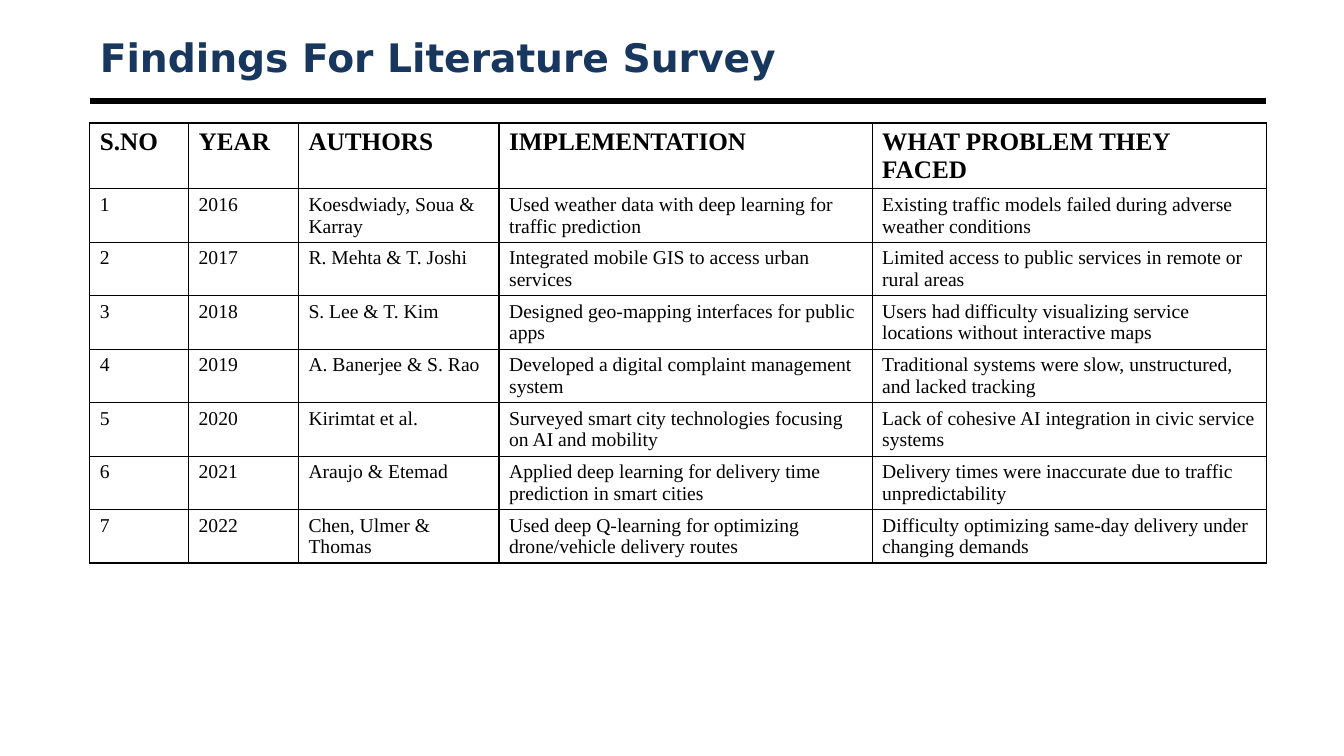
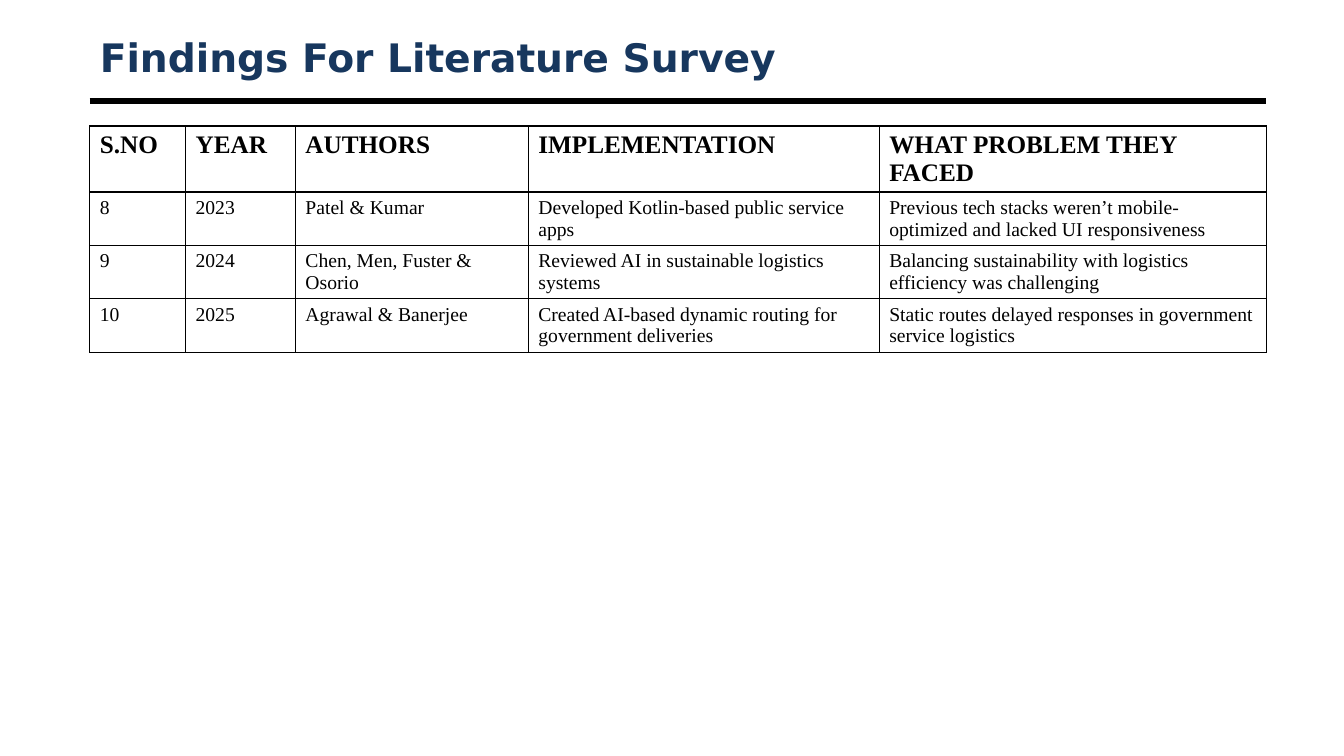
from lxml import etree
from pptx import Presentation
from pptx.dml.color import RGBColor
from pptx.enum.shapes import MSO_CONNECTOR
from pptx.enum.text import MSO_ANCHOR, MSO_AUTO_SIZE, PP_ALIGN
from pptx.oxml import parse_xml
from pptx.oxml.ns import nsdecls, qn
from pptx.util import Inches, Pt

STRAIGHT = MSO_CONNECTOR.STRAIGHT
MIDDLE = MSO_ANCHOR.MIDDLE
LEFT = PP_ALIGN.LEFT
NO_FIT = MSO_AUTO_SIZE.NONE

# Shared style
NAVY, BLACK, WHITE = "17375E", "000000", "FFFFFF"
HEAD_FONT, BODY_FONT = "DejaVu Sans", "Times New Roman"
EDGE, SPAN = 0.89, 11.67
TITLE_BOX = (EDGE, 0.3, SPAN, 0.53)
RULE_TOP = 1
HEAD_ROW, BODY_ROW = 0.65, 0.53

TITLE = "Findings For Literature Survey"
HEADS = ("S.NO", "YEAR", "AUTHORS", "IMPLEMENTATION",
         "WHAT PROBLEM THEY FACED")
FIRST_YEAR = 2016

# Each study: authors, implementation, problem
EARLY = [
    ("Koesdwiady, Soua & Karray",
     "Used weather data with deep learning for traffic prediction",
     "Existing traffic models failed during adverse weather conditions"),
    ("R. Mehta & T. Joshi",
     "Integrated mobile GIS to access urban services",
     "Limited access to public services in remote or rural areas"),
    ("S. Lee & T. Kim",
     "Designed geo-mapping interfaces for public apps",
     "Users had difficulty visualizing service locations without "
     "interactive maps"),
    ("A. Banerjee & S. Rao",
     "Developed a digital complaint management system",
     "Traditional systems were slow, unstructured, and lacked tracking"),
    ("Kirimtat et al.",
     "Surveyed smart city technologies focusing on AI and mobility",
     "Lack of cohesive AI integration in civic service systems"),
    ("Araujo & Etemad",
     "Applied deep learning for delivery time prediction in smart cities",
     "Delivery times were inaccurate due to traffic unpredictability"),
    ("Chen, Ulmer & Thomas",
     "Used deep Q-learning for optimizing drone/vehicle delivery routes",
     "Difficulty optimizing same-day delivery under changing demands"),
]
LATE = [
    ("Patel & Kumar",
     "Developed Kotlin-based public service apps",
     "Previous tech stacks weren’t mobile-optimized and lacked UI "
     "responsiveness"),
    ("Chen, Men, Fuster & Osorio",
     "Reviewed AI in sustainable logistics systems",
     "Balancing sustainability with logistics efficiency was challenging"),
    ("Agrawal & Banerjee",
     "Created AI-based dynamic routing for government deliveries",
     "Static routes delayed responses in government service logistics"),
]


def color(code):
    return RGBColor.from_string(code)


def write(frame, text, size=14, font=BODY_FONT, ink=BLACK, bold=False):
    """Put one formatted paragraph in a text frame."""
    frame.word_wrap = True
    para = frame.paragraphs[0]
    para.alignment = LEFT
    run = para.add_run()
    run.text = text
    run.font.size = Pt(size)
    run.font.name = font
    run.font.bold = bold
    run.font.color.rgb = color(ink)


def add_title(slide, box):
    title = slide.shapes.title
    title.left, title.top, title.width, title.height = map(Inches, box)
    frame = title.text_frame
    frame.auto_size = NO_FIT
    frame.vertical_anchor = MIDDLE
    write(frame, TITLE, size=28, font=HEAD_FONT, ink=NAVY, bold=True)


def add_rule(slide, left, top, width):
    rule = slide.shapes.add_connector(
        STRAIGHT, Inches(left), Inches(top), Inches(left + width), Inches(top))
    rule.line.color.rgb = color(BLACK)
    rule.line.width = Pt(4.5)
    props = rule._element.find(qn("p:spPr"))
    etree.SubElement(props, qn("a:effectLst"))


def set_edges(cell):
    """Draw a thin line on all four sides of a cell."""
    props = cell._tc.get_or_add_tcPr()
    for side in ("lnL", "lnR", "lnT", "lnB"):
        props.append(parse_xml(
            f'<a:{side} {nsdecls("a")} w="{Pt(1)}"><a:solidFill>'
            f'<a:srgbClr val="{BLACK}"/></a:solidFill></a:{side}>'))


def add_grid(slide, left, top, cols, studies, start):
    rows = [HEADS]
    for num, study in enumerate(studies, start):
        rows.append((str(num), str(FIRST_YEAR + num - 1), *study))
    tall = HEAD_ROW + BODY_ROW * len(studies)
    grid = slide.shapes.add_table(
        len(rows), len(cols), Inches(left), Inches(top),
        Inches(sum(cols)), Inches(tall)).table
    grid.first_row = grid.horz_banding = False
    for col, width in zip(grid.columns, cols):
        col.width = Inches(width)
    for r, texts in enumerate(rows):
        head = r == 0
        grid.rows[r].height = Inches(HEAD_ROW if head else BODY_ROW)
        for c, text in enumerate(texts):
            cell = grid.cell(r, c)
            set_edges(cell)
            cell.fill.solid()
            cell.fill.fore_color.rgb = color(WHITE)
            write(cell.text_frame, text, size=18 if head else 14, bold=head)


def add_survey(deck, top, cols, studies, start):
    """Build one survey slide: title, rule and table."""
    slide = deck.slides.add_slide(deck.slide_layouts[5])
    add_rule(slide, EDGE, RULE_TOP, SPAN)
    add_title(slide, TITLE_BOX)
    add_grid(slide, EDGE, top, cols, studies, start)


def main():
    deck = Presentation()
    deck.slide_width, deck.slide_height = Inches(13.33), Inches(7.5)
    add_survey(deck, 1.22, (0.98, 1.09, 1.99, 3.7, 3.91), EARLY, 1)
    add_survey(deck, 1.25, (0.95, 1.09, 2.31, 3.48, 3.84), LATE,
               len(EARLY) + 1)
    deck.save("out.pptx")


if __name__ == "__main__":
    main()
